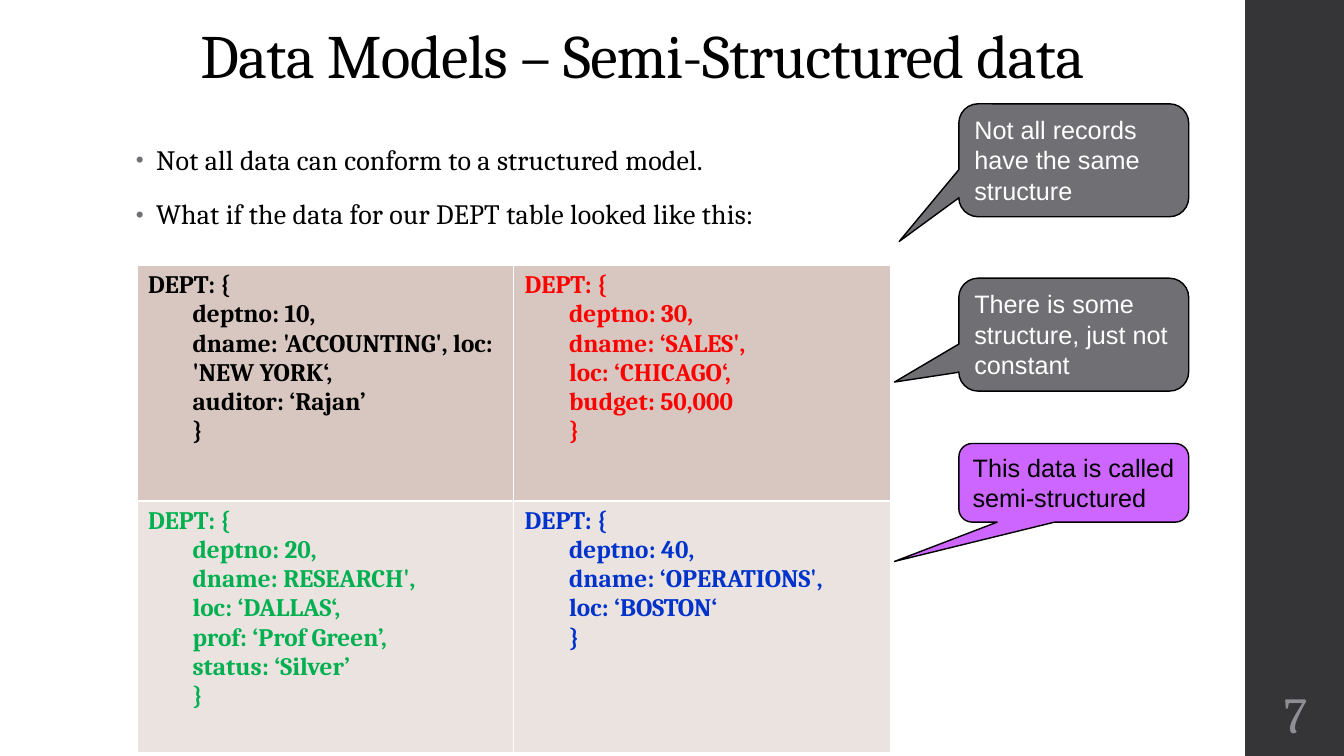
from dataclasses import dataclass

import pptx
import pptx.dml.color
import pptx.enum.shapes
import pptx.enum.text
import pptx.util
from lxml import etree
from pptx.oxml.ns import qn

Inches = pptx.util.Inches
Pt = pptx.util.Pt
Align = pptx.enum.text.PP_ALIGN
Anchor = pptx.enum.text.MSO_ANCHOR
Fit = pptx.enum.text.MSO_AUTO_SIZE
Shape = pptx.enum.shapes.MSO_SHAPE

SERIF = "Cambria"
BLACK, WHITE, GREY = "000000", "FFFFFF", "6F6F74"


@dataclass
class Record:
    color: str
    lines: list[str]


@dataclass
class Callout:
    text: str
    top: float
    height: float
    tip: tuple[float, float]
    fill: str
    color: str


RECORDS = [
    [Record(BLACK, ["deptno: 10,", "dname: 'ACCOUNTING', loc: 'NEW YORK‘,",
                    "auditor: ‘Rajan’"]),
     Record("FF0000", ["deptno: 30,", "dname: ‘SALES',", "loc: ‘CHICAGO‘,",
                       "budget: 50,000"])],
    [Record("00B050", ["deptno: 20,", "dname: RESEARCH',", "loc: ‘DALLAS‘,",
                       "prof: ‘Prof Green’,", "status: ‘Silver’"]),
     Record("0033CC", ["deptno: 40,", "dname: ‘OPERATIONS',", "loc: ‘BOSTON‘"])],
]
ROWS = [(2.34, "D7C7C0"), (2.5, "EBE3E0")]  # height, fill
CALLOUTS = [
    Callout("Not all records have the same structure", 1.03, 1.12, (-0.76, 0.72), GREY, WHITE),
    Callout("There is some structure, just not constant", 2.76, 1.12, (-0.78, 0.42), GREY, WHITE),
    Callout("This data is called semi-structured", 4.4, 0.78, (-0.78, 1), "CC66FF", BLACK),
]
POINTS = ["Not all data can conform to a structured model.",
          "What if the data for our DEPT table looked like this:"]


def rgb(code: str) -> pptx.dml.color.RGBColor:
    return pptx.dml.color.RGBColor.from_string(code)


def paint(part, code: str) -> None:
    part.fill.solid()
    part.fill.fore_color.rgb = rgb(code)


def write(para, text: str, size: float, color: str, face: str = SERIF,
          bold: bool = False, space: int = 0) -> None:
    """Add one run; space is letter spacing in hundredths of a point."""
    run = para.add_run()
    run.text = text
    run.font.size = Pt(size)
    run.font.name = face
    run.font.bold = bold
    run.font.color.rgb = rgb(color)
    if space:
        run.font._element.set("spc", str(space))


def indent(para, left: float, first: float) -> None:
    props = para._p.get_or_add_pPr()
    props.set("marL", str(Inches(left)))
    props.set("indent", str(Inches(first)))


def bullet(para) -> None:
    props = para._p.get_or_add_pPr()
    tint = etree.SubElement(props, qn("a:buClr"))
    etree.SubElement(tint, qn("a:srgbClr"), val=GREY)
    etree.SubElement(props, qn("a:buSzPct"), val="80000")
    etree.SubElement(props, qn("a:buFont"), typeface="Arial")
    etree.SubElement(props, qn("a:buChar"), char="•")


def border(cell) -> None:
    props = cell._tc.get_or_add_tcPr()
    for spot, side in enumerate(("lnL", "lnR", "lnT", "lnB")):
        line = etree.Element(qn(f"a:{side}"), w=str(Pt(1)))
        fill = etree.SubElement(line, qn("a:solidFill"))
        etree.SubElement(fill, qn("a:srgbClr"), val=WHITE)
        props.insert(spot, line)


def box(slide, left: float, top: float, width: float, height: float):
    frame = slide.shapes.add_textbox(
        Inches(left), Inches(top), Inches(width), Inches(height)).text_frame
    frame.word_wrap = True
    return frame


def add_title(slide, text: str) -> None:
    title = slide.shapes.title
    title.left, title.top = Inches(1.07), Inches(0)
    title.width, title.height = Inches(10.6), Inches(0.96)
    frame = title.text_frame
    frame.auto_size = Fit.NONE
    frame.vertical_anchor = Anchor.BOTTOM
    para = frame.paragraphs[0]
    para.alignment = Align.CENTER
    para.line_spacing = 0.9
    write(para, text, 44, BLACK, space=-50)


def add_points(slide) -> None:
    frame = box(slide, 1.25, 1.39, 9.92, 1.5)
    for spot, text in enumerate(POINTS):
        para = frame.add_paragraph() if spot else frame.paragraphs[0]
        indent(para, 0.2, -0.2)
        para.line_spacing = 0.95
        para.space_before = Pt(14 if spot else 0)
        para.space_after = Pt(2)
        bullet(para)
        write(para, text, 20, BLACK, space=10)


def fill_cell(cell, record: Record, fill: str) -> None:
    paint(cell, fill)
    border(cell)
    cell.margin_left = cell.margin_right = Inches(0.11)
    cell.margin_top = cell.margin_bottom = Inches(0.06)
    frame = cell.text_frame
    head = frame.paragraphs[0]
    indent(head, 0, -0.06)
    write(head, "DEPT: {", 18, record.color, bold=True)
    for text in [*record.lines, "}"]:
        para = frame.add_paragraph()
        para.level = 1
        indent(para, 0.44, 0)
        write(para, text, 18, record.color, bold=True)


def add_records(slide) -> None:
    table = slide.shapes.add_table(
        2, 2, Inches(1.36), Inches(2.63), Inches(7.47), Inches(4.84)).table
    for row, (height, fill) in enumerate(ROWS):
        table.rows[row].height = Inches(height)
        for col, record in enumerate(RECORDS[row]):
            fill_cell(table.cell(row, col), record, fill)


def add_callout(slide, note: Callout) -> None:
    shape = slide.shapes.add_shape(
        Shape.ROUNDED_RECTANGULAR_CALLOUT, Inches(9.51), Inches(note.top),
        Inches(2.28), Inches(note.height))
    shape.shadow.inherit = False
    for spot, value in enumerate((*note.tip, 0.17)):
        shape.adjustments[spot] = value
    paint(shape, note.fill)
    shape.line.color.rgb = rgb(BLACK)
    shape.line.width = Pt(1)
    frame = shape.text_frame
    frame.word_wrap = True
    frame.auto_size = Fit.SHAPE_TO_FIT_TEXT
    frame.vertical_anchor = Anchor.TOP
    frame.paragraphs[0].alignment = Align.LEFT
    write(frame.paragraphs[0], note.text, 18, note.color, "Arial")


def add_number(slide, text: str) -> None:
    frame = box(slide, 12.35, 6.75, 1, 0.65)
    frame.margin_left = frame.margin_right = Inches(0.05)
    frame.vertical_anchor = Anchor.MIDDLE
    frame.paragraphs[0].alignment = Align.CENTER
    write(frame.paragraphs[0], text, 36, "8E8E94")


def main() -> None:
    deck = pptx.Presentation()
    deck.slide_width, deck.slide_height = Inches(13.33), Inches(7.5)
    slide = deck.slides.add_slide(deck.slide_layouts[5])

    # Side band
    band = slide.shapes.add_shape(
        Shape.RECTANGLE, Inches(12.35), Inches(0), Inches(0.98), Inches(7.5))
    band.shadow.inherit = False
    paint(band, "353537")
    band.line.fill.background()

    # Title and points
    add_title(slide, "Data Models – Semi-Structured data")
    add_points(slide)
    add_number(slide, "7")

    # Records and remarks
    add_records(slide)
    for note in CALLOUTS:
        add_callout(slide, note)

    deck.save("out.pptx")


if __name__ == "__main__":
    main()
